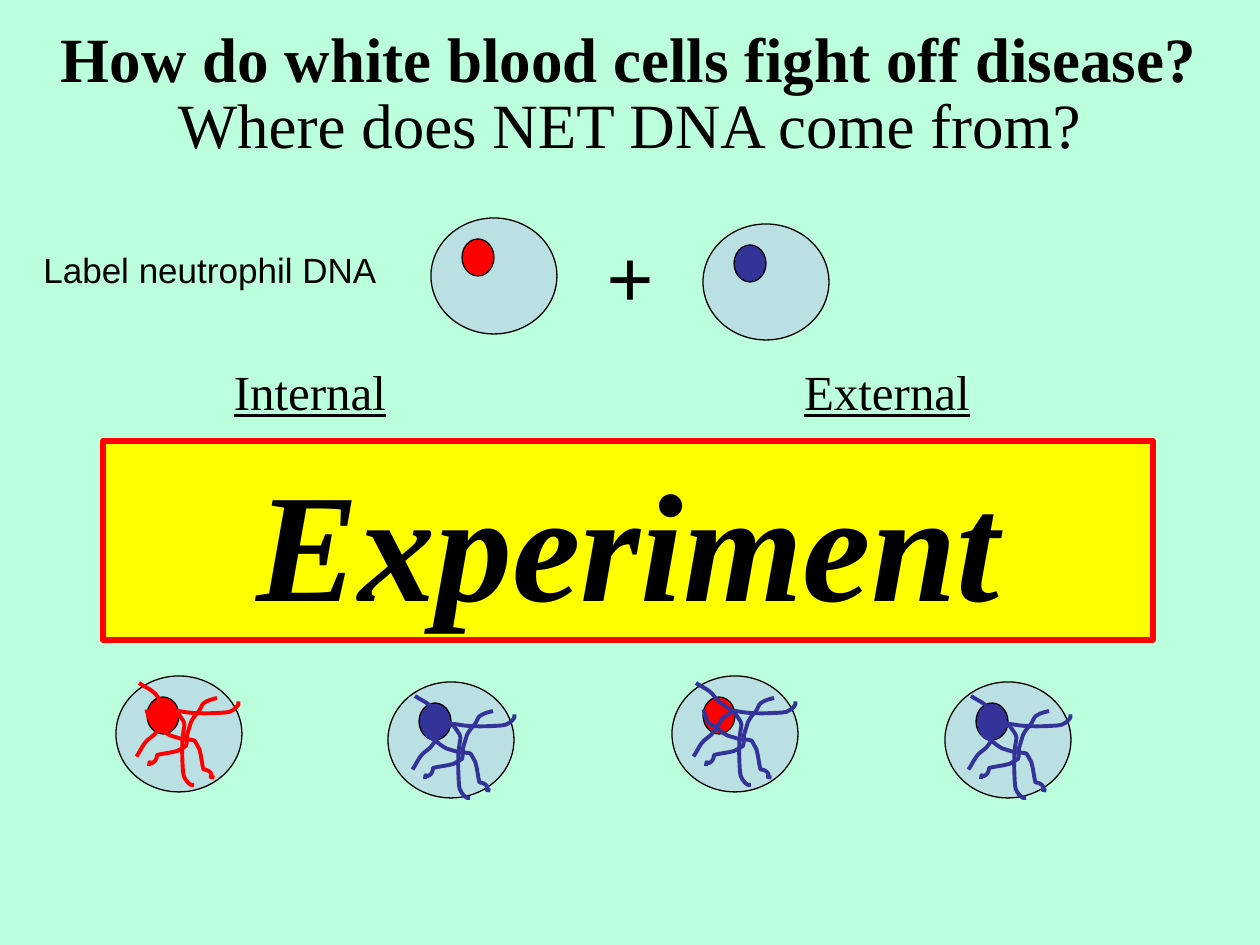
"""Build the slide that asks where NET DNA comes from."""
import pptx
import pptx.dml.color
import pptx.enum.shapes
import pptx.enum.text
import pptx.oxml.ns
import pptx.util
import lxml.etree

PX = pptx.util.Inches(1) / 126


class Theme:
    mint = pptx.dml.color.RGBColor.from_string("BBFFDD")
    cell = pptx.dml.color.RGBColor.from_string("BBE0E3")
    red = pptx.dml.color.RGBColor.from_string("FF0000")
    blue = pptx.dml.color.RGBColor.from_string("333399")
    yellow = pptx.dml.color.RGBColor.from_string("FFFF00")
    black = pptx.dml.color.RGBColor.from_string("000000")
    serif = "Times New Roman"
    sans = "Arial"
    title, heading, label, plus, banner = 36, 28, 20, 48, 88
    outline, strand, frame = 0.75, 2.25, 3


def write(box, text, size, align="CENTER", name=Theme.serif, **styles):
    frame = box.text_frame
    frame.text = text
    frame.word_wrap = True
    frame.auto_size = pptx.enum.text.MSO_AUTO_SIZE.NONE
    frame.vertical_anchor = pptx.enum.text.MSO_ANCHOR.TOP
    para = frame.paragraphs[0]
    para.alignment = getattr(pptx.enum.text.PP_ALIGN, align)
    font = para.runs[0].font
    font.name, font.size = name, pptx.util.Pt(size)
    font.color.rgb = Theme.black
    for style, value in styles.items():
        setattr(font, style, value)


def add_filled(kind, bounds, fill, line, width):
    shape = page.shapes.add_shape(kind, *[round(n * PX) for n in bounds])
    shape.shadow.inherit = False
    shape.fill.solid()
    shape.fill.fore_color.rgb = fill
    shape.line.color.rgb = line
    shape.line.width = pptx.util.Pt(width)
    return shape


deck = pptx.Presentation()
deck.slide_width, deck.slide_height = round(1260 * PX), round(945 * PX)
page = deck.slides.add_slide(deck.slide_layouts[5])
page.background.fill.solid()
page.background.fill.fore_color.rgb = Theme.mint

title = page.shapes.title
title.left, title.top, title.width, title.height = [round(n * PX) for n in (35, 13, 1187, 89)]
write(title, "How do white blood cells fight off disease?", Theme.title, bold=True)

for text, bounds, size, styles in (
    ("Where does NET DNA come from?", (147, 79, 965, 89), Theme.title, {}),
    ("Internal", (179, 355, 262, 72), Theme.heading, {"underline": True}),
    ("External", (756, 355, 262, 72), Theme.heading, {"underline": True}),
    ("Label neutrophil DNA", (31, 242, 378, 55), Theme.label, {"align": "LEFT", "name": Theme.sans}),
    ("+", (594, 218, 105, 115), Theme.plus, {"align": "LEFT", "bold": True}),
):
    box = page.shapes.add_textbox(*[round(n * PX) for n in bounds])
    write(box, text, size, **styles)

OVAL = pptx.enum.shapes.MSO_SHAPE.OVAL
for left, top, nucleus in (
    (431, 218, Theme.red), (703, 224, Theme.blue),
    (116, 676, Theme.red), (388, 682, Theme.blue),
    (672, 676, Theme.red), (945, 682, Theme.blue),
):
    add_filled(OVAL, (left, top, 126, 116), Theme.cell, Theme.black, Theme.outline)
    add_filled(OVAL, (left + 31, top + 21, 32, 37), nucleus, Theme.black, Theme.outline)

long_curve = (
    ((0, 0),),
    ((4, 3), (9, 5), (13, 8)), ((18, 11), (20, 18), (26, 21)),
    ((38, 29),),
    ((53, 50), (40, 30), (44, 89)), ((44, 94), (48, 100), (52, 102)),
    ((53, 102), (54, 102), (55, 102)),
)
branch_curve = (
    ((68, 0),),
    ((64, 1), (59, 2), (55, 5)), ((53, 6), (52, 10), (50, 13)),
    ((47, 16), (44, 20), (42, 24)),
    ((38, 37),),
    ((38, 40), (38, 45), (37, 48)), ((34, 50), (30, 52), (28, 53)),
    ((21, 55), (16, 55), (8, 57)), ((8, 58), (8, 60), (6, 63)),
    ((0, 69), (1, 59), (0, 68)),
)
strands = (
    (long_curve, 0, 0, 0), (long_curve, 21, -5, 270),
    (branch_curve, 10, 15, 0), (branch_curve, 8, 26, 270),
)
for net_left, net_top, color in (
    (139, 683, Theme.red), (415, 696, Theme.blue),
    (696, 683, Theme.blue), (971, 696, Theme.blue),
):
    for curve, shift_x, shift_y, rotation in strands:
        points = [
            (round((net_left + shift_x + x) * PX), round((net_top + shift_y + y) * PX))
            for segment in curve for x, y in segment
        ]
        builder = page.shapes.build_freeform(*points[0])
        builder.add_line_segments(points[1:], close=False)
        strand = builder.convert_to_shape()
        lines = iter(list(strand._element.iter(pptx.oxml.ns.qn("a:lnTo"))))
        for segment in curve[1:]:
            first = next(lines)
            if len(segment) == 3:
                bend = lxml.etree.Element(pptx.oxml.ns.qn("a:cubicBezTo"))
                first.addprevious(bend)
                for line in (first, next(lines), next(lines)):
                    bend.append(line[0])
                    line.getparent().remove(line)
        strand.shadow.inherit = False
        strand.fill.background()
        strand.line.color.rgb = color
        strand.line.width = pptx.util.Pt(Theme.strand)
        strand.rotation = rotation

RECTANGLE = pptx.enum.shapes.MSO_SHAPE.RECTANGLE
banner = add_filled(RECTANGLE, (103, 441, 1050, 199), Theme.yellow, Theme.red, Theme.frame)
write(banner, "Experiment", Theme.banner, bold=True, italic=True)

deck.save("out.pptx")
